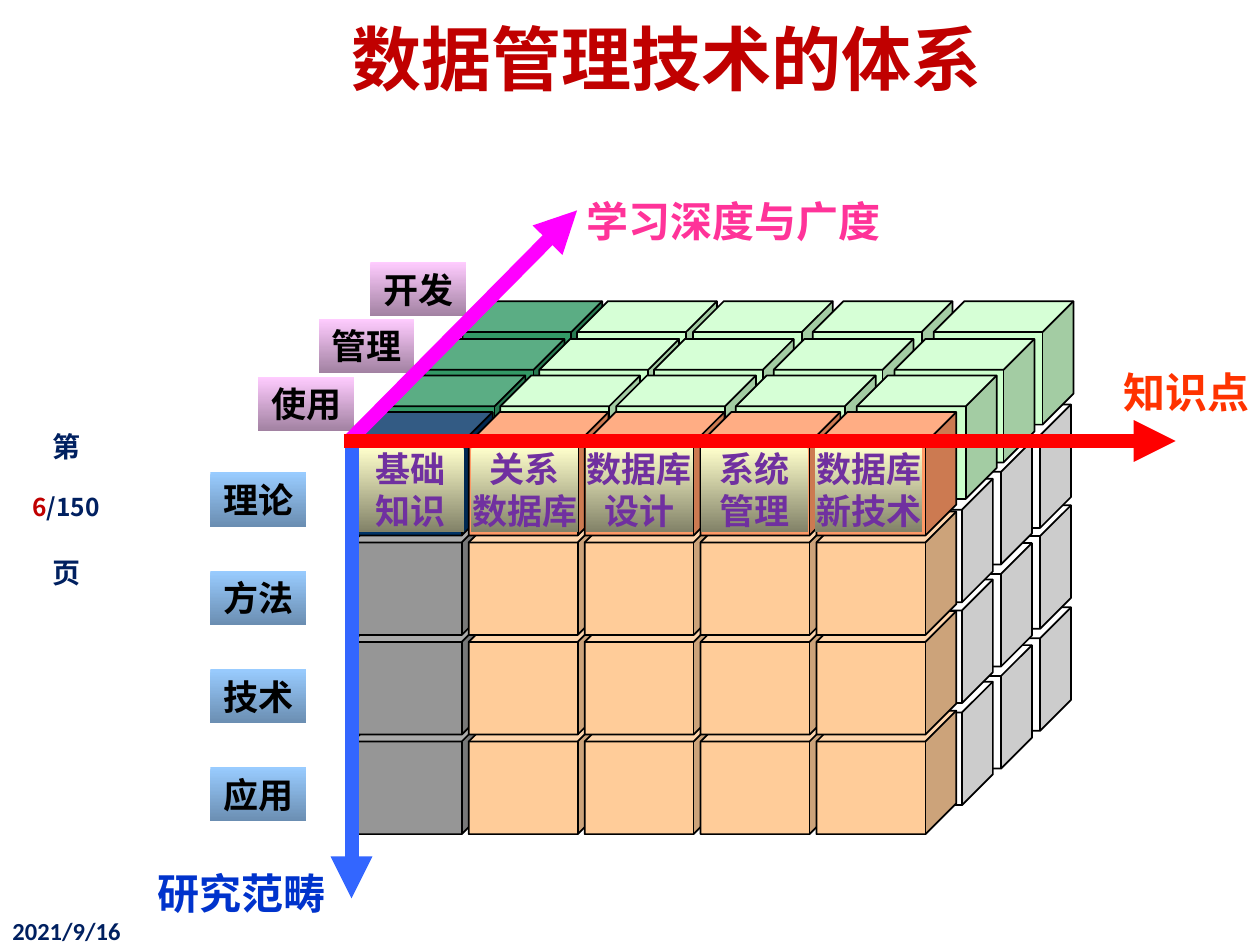
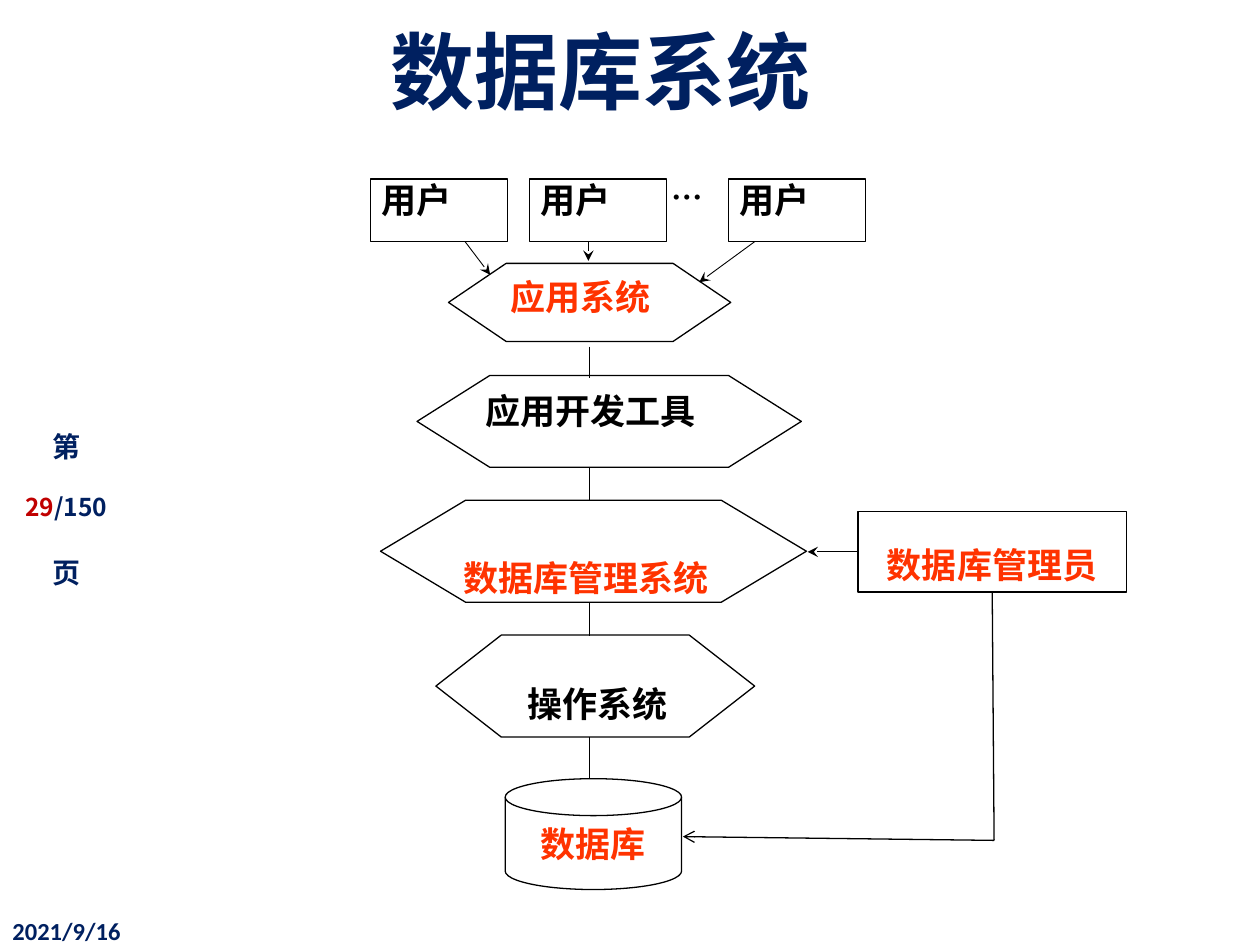
from dataclasses import dataclass

from lxml import etree
from pptx import Presentation
from pptx import util as u
from pptx.dml.color import RGBColor
from pptx.enum import shapes, text
from pptx.oxml import ns

SHAPE = shapes.MSO_SHAPE
ALIGN = text.PP_ALIGN


@dataclass(frozen=True)
class Theme:
    body_font: str = "Noto Sans CJK SC"
    title_font: str = "Roboto"
    date_font: str = "Calibri"
    navy: str = "002060"
    crimson: str = "C00000"
    black: str = "000000"
    white: str = "FFFFFF"
    accent: str = "FF3300"
    purple: str = "7030A0"
    scope_text: str = "0033CC"
    depth_text: str = "FF3399"
    scope_axis: str = "3366FF"
    depth_axis: str = "FF00FF"
    topic_axis: str = "FF0000"
    basics_top: str = "003366"
    basics_body: str = "969696"
    basics_depth: str = "339966"
    topic_top: str = "FF9966"
    topic_body: str = "FFCC99"
    topic_depth: str = "CCFFCC"
    scope_tag: tuple = ("99CCFF", "6B8EB2")
    depth_tag: tuple = ("FFCCFF", "A282A2")
    topic_card: tuple = ("FFFFCC", "828268")
    title_size: int = 40
    big_title_size: int = 48
    axis_size: int = 24
    node_size: int = 20
    dots_size: int = 18
    page_size: int = 16
    small_size: int = 14
    axis_width: float = 8
    cube_line: float = 1
    node_line: float = 0.75
    link_line: float = 0.5


THEME = Theme()


def rgb(value):
    return RGBColor.from_string(value)


def inches(*values):
    return [u.Inches(round(value, 2)) for value in values]


def style_span(span, size, color, font=THEME.body_font):
    span.font.size = u.Pt(size)
    span.font.bold = True
    span.font.color.rgb = rgb(color)
    span.font.name = font
    east_asian = etree.SubElement(span._r.get_or_add_rPr(), ns.qn("a:ea"))
    east_asian.set("typeface", THEME.body_font)


def set_text(box, words, size, color, font=THEME.body_font, align=ALIGN.CENTER,
             inset=0, shift=(0, 0), leading=None):
    """Write centred lines; shift moves them by (dx, dy) inches, leading is a multiple of size."""
    frame = box.text_frame
    frame.text = words
    frame.word_wrap = True
    frame.auto_size = text.MSO_AUTO_SIZE.NONE
    frame.vertical_anchor = text.MSO_ANCHOR.MIDDLE
    dx, dy = shift
    frame.margin_left, frame.margin_right = inches(inset + 2 * max(dx, 0), 2 * max(-dx, 0))
    frame.margin_top, frame.margin_bottom = inches(2 * max(dy, 0), 2 * max(-dy, 0))
    for para in frame.paragraphs:
        para.alignment = align
        if leading:
            para.line_spacing = u.Pt(size * leading)
        for span in para.runs:
            style_span(span, size, color, font)


def add_label(page, at, words, size, color, **options):
    box = page.shapes.add_textbox(*inches(*at))
    set_text(box, words, size, color, **options)
    return box


def add_solid(page, kind, at, fill, width):
    box = page.shapes.add_shape(kind, *inches(*at))
    box.shadow.inherit = False
    box.fill.solid()
    box.fill.fore_color.rgb = rgb(fill)
    box.line.color.rgb = rgb(THEME.black)
    box.line.width = u.Pt(width)
    return box


def add_cube(page, left, top, fill):
    add_solid(page, SHAPE.CUBE, (left, top, 1.11, 0.98), fill, THEME.cube_line)


def add_tag(page, at, words, colors, color=THEME.black, **options):
    """Borderless box with a gradient running from top to bottom."""
    box = page.shapes.add_shape(SHAPE.RECTANGLE, *inches(*at))
    box.shadow.inherit = False
    box.line.fill.background()
    box.fill.gradient()
    box.fill.gradient_angle = 270
    for stop, stop_color in zip(box.fill.gradient_stops, colors):
        stop.color.rgb = rgb(stop_color)
    set_text(box, words, THEME.node_size, color, **options)


def add_node(page, kind, at, words, color=THEME.black, shift=(0, 0), slant=None):
    box = add_solid(page, kind, at, THEME.white, THEME.node_line)
    if slant:
        box.adjustments[0] = slant
    set_text(box, words, THEME.node_size, color, shift=shift)
    box.text_frame.word_wrap = False
    return box


def add_line(page, start, end, color=THEME.black, width=THEME.link_line, head=None):
    line = page.shapes.add_connector(shapes.MSO_CONNECTOR.STRAIGHT, *inches(*start, *end))
    line.line.color.rgb = rgb(color)
    line.line.width = u.Pt(width)
    if head:
        etree.SubElement(line.line._get_or_add_ln(), ns.qn("a:tailEnd")).set("type", head)
    etree.SubElement(line._element.spPr, ns.qn("a:effectLst"))
    return line


def add_page(deck, number, title, at, size, color, shift=(0, 0)):
    """Add a page with its title, page counter and date."""
    page = deck.slides.add_slide(deck.slide_layouts[5])
    heading = page.shapes.title
    heading.left, heading.top, heading.width, heading.height = inches(*at)
    set_text(heading, title, size, color, font=THEME.title_font, shift=shift)

    counter = add_label(page, (0, 2.96, 1.05, 1.89), f"第\n{number}\n页",
                        THEME.page_size, THEME.navy, leading=2.4)
    para = counter.text_frame.paragraphs[1]
    para.line_spacing = u.Pt(THEME.small_size * 2.4)
    para.runs[0].font.size = u.Pt(THEME.small_size)
    para.runs[0].font.color.rgb = rgb(THEME.crimson)
    total = para.add_run()
    total.text = "/150"
    style_span(total, THEME.small_size, THEME.navy)

    add_label(page, (0, 7.21, 1.08, 0.29), "2021/9/16", THEME.small_size, THEME.navy,
              font=THEME.date_font, align=ALIGN.LEFT, inset=0.1, shift=(0, 0.03))
    return page


def build_cube_wall(page):
    """Stack the cubes from back to front: right side, top layers, front face."""
    for row in (2, 1, 0):
        for depth in (2, 1, 0):
            add_cube(page, 6.77 + 0.31 * depth, 3.8 + 0.805 * row - 0.295 * depth, THEME.white)

    for column, left in enumerate((3.06, 3.97, 4.89, 5.84, 6.8)):
        fill = THEME.topic_depth if column else THEME.basics_depth
        for depth in (2, 1, 0):
            add_cube(page, left + 0.305 * depth, 2.98 - 0.295 * depth, fill)

    for row in (3, 2, 1, 0):
        basics = THEME.basics_body if row else THEME.basics_top
        topic = THEME.topic_body if row else THEME.topic_top
        for column in range(5):
            add_cube(page, 2.8 + 0.92 * column, 3.27 + 0.79 * row, topic if column else basics)


def build_system_page(deck):
    page = add_page(deck, 6, "数据管理技术的体系", (1.08, -0.04, 8.42, 1),
                    THEME.title_size, THEME.crimson)
    build_cube_wall(page)

    for row, words in enumerate(("理论", "方法", "技术", "应用")):
        add_tag(page, (1.67, 3.75 + 0.78 * row, 0.76, 0.43), words, THEME.scope_tag)
    topics = ("基础\n知识", "关系\n数据库", "数据库\n设计", "系统\n管理", "数据库\n新技术")
    for column, words in enumerate(topics):
        add_tag(page, (2.83 + 0.91 * column, 3.55, 0.85, 0.67), words, THEME.topic_card,
                THEME.purple, leading=1.2)
    for left, top, words in ((2.05, 2.99, "使用"), (2.53, 2.53, "管理"), (2.94, 2.08, "开发")):
        add_tag(page, (left, top, 0.76, 0.43), words, THEME.depth_tag)

    add_label(page, (8.8, 2.86, 1.23, 0.5), "知识点", THEME.axis_size, THEME.accent)
    add_label(page, (1, 6.67, 1.83, 0.67), "研究范畴", THEME.axis_size, THEME.scope_text,
              shift=(0, 0.08))
    add_label(page, (4.56, 1.5, 3.75, 0.5), "学习深度与广度", THEME.axis_size,
              THEME.depth_text, align=ALIGN.LEFT, inset=0.1)
    axes = (
        ((2.77, 3.5), (4.58, 1.67), THEME.depth_axis),
        ((2.79, 3.47), (2.79, 7.13), THEME.scope_axis),
        ((2.73, 3.5), (9.33, 3.5), THEME.topic_axis),
    )
    for start, end, color in axes:
        add_line(page, start, end, color, THEME.axis_width, "triangle")


def build_database_page(deck):
    page = add_page(deck, 29, "数据库系统", (2.72, 0.1, 4.49, 0.91),
                    THEME.big_title_size, THEME.navy, shift=(-0.2, 0))

    stages = (
        ((3.56, 2.09, 2.24, 0.62), "应用系统", THEME.accent, (-0.07, -0.05), 0.738),
        ((3.31, 2.98, 3.05, 0.73), "应用开发工具", THEME.black, (-0.15, -0.09), 0.792),
        ((3.02, 3.97, 3.38, 0.81), "数据库管理系统", THEME.accent, (-0.06, 0.21), 0.834),
        ((3.46, 5.04, 2.53, 0.81), "操作系统", THEME.black, (0.02, 0.14), 0.641),
    )
    for at, words, color, shift, slant in stages:
        add_node(page, SHAPE.HEXAGON, at, words, color, shift, slant)
    add_node(page, SHAPE.FLOWCHART_MAGNETIC_DISK, (4.01, 6.18, 1.4, 0.88), "数据库",
             THEME.accent)

    for top, bottom in ((2.75, 3), (3.71, 3.98), (4.78, 5.05), (5.85, 6.18)):
        add_line(page, (4.68, top), (4.68, bottom))
    user_links = (((3.64, 1.85), (3.89, 2.18)), ((4.67, 1.8), (4.67, 2.07)),
                  ((6.11, 1.83), (5.55, 2.24)))
    for start, end in user_links:
        add_line(page, start, end, head="stealth")
    for left in (2.94, 4.2, 5.78):
        add_node(page, SHAPE.RECTANGLE, (left, 1.42, 1.09, 0.5), "用户", shift=(-0.18, -0.09))
    add_label(page, (5.23, 1.36, 0.63, 0.4), "…", THEME.dots_size, THEME.black,
              align=ALIGN.LEFT, inset=0.1)

    admin = add_node(page, SHAPE.RECTANGLE, (6.81, 4.06, 2.13, 0.64), "数据库管理员",
                     THEME.accent, (0, 0.1))
    manage = add_line(page, (6.81, 4.38), (6.41, 4.38), head="stealth")
    manage.begin_connect(admin, 1)
    corner = (7.89, 6.67)
    add_line(page, corner, (5.42, 6.64), width=THEME.node_line, head="arrow")
    drop = add_line(page, corner, (7.87, 4.7), width=THEME.node_line)
    drop.end_connect(admin, 2)


def main():
    deck = Presentation()
    deck.slide_width, deck.slide_height = inches(10, 7.5)
    build_system_page(deck)
    build_database_page(deck)
    deck.save("out.pptx")


if __name__ == "__main__":
    main()
